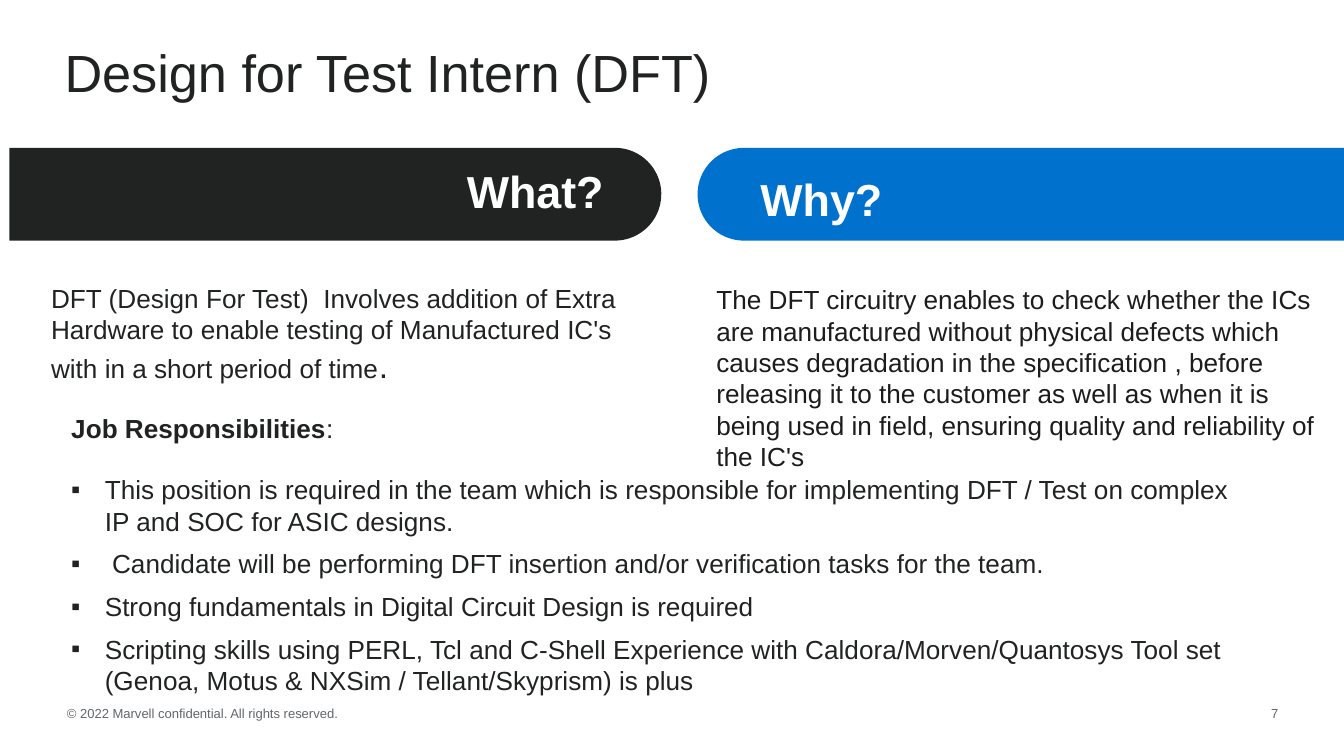
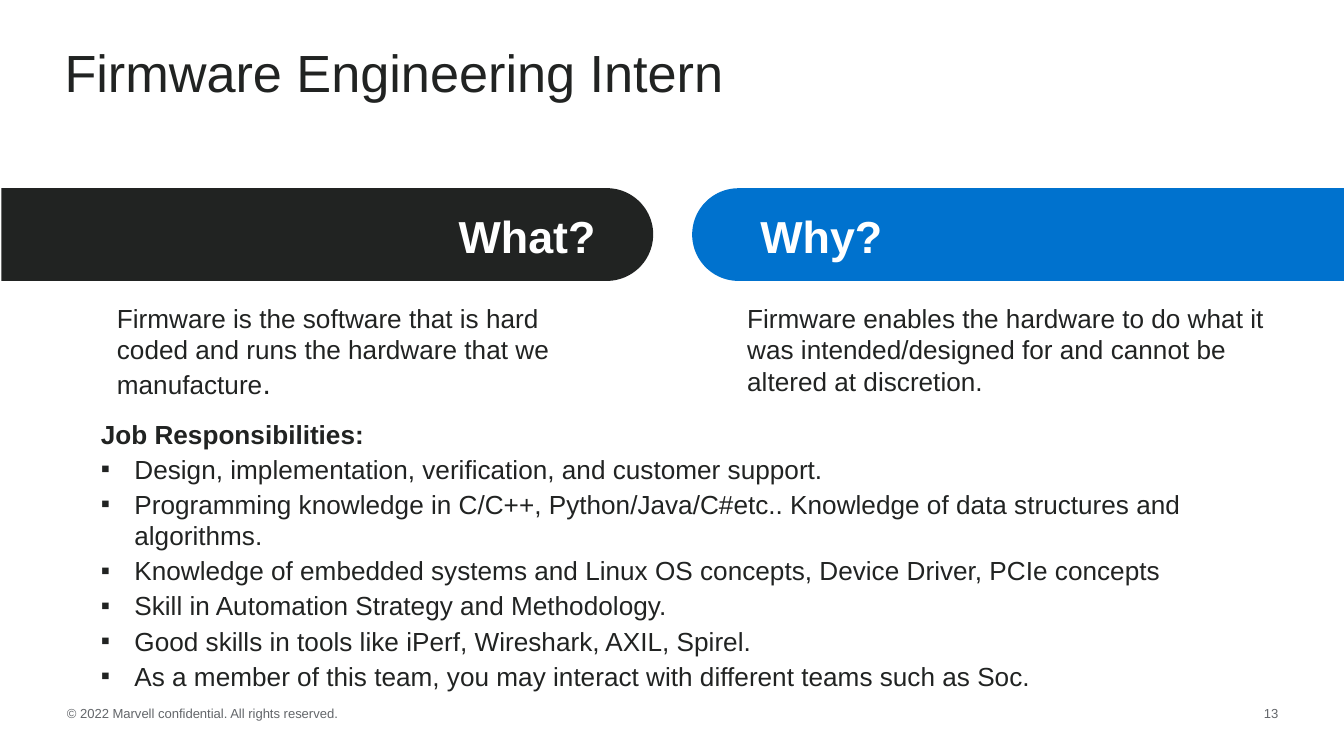
from lxml import etree
from pptx import Presentation
from pptx.dml.color import RGBColor
from pptx.enum.shapes import MSO_SHAPE
from pptx.enum.text import MSO_ANCHOR, MSO_AUTO_SIZE, PP_ALIGN
from pptx.oxml.ns import qn
from pptx.util import Inches, Pt

LEFT, RIGHT = PP_ALIGN.LEFT, PP_ALIGN.RIGHT
TOP, MIDDLE = MSO_ANCHOR.TOP, MSO_ANCHOR.MIDDLE
FIXED, GROW = MSO_AUTO_SIZE.NONE, MSO_AUTO_SIZE.SHAPE_TO_FIT_TEXT
HALF_ROUND = MSO_SHAPE.ROUND_2_SAME_RECTANGLE

INK = RGBColor(0x21, 0x23, 0x22)
SOFT_INK = RGBColor(0x1D, 0x1C, 0x1D)
BLUE = RGBColor(0x00, 0x72, 0xCE)
GREY = RGBColor(0x63, 0x66, 0x6A)
WHITE = RGBColor(0xFF, 0xFF, 0xFF)

FONT = "Arial"
SLIDE_W = 10
SLIDE_H = SLIDE_W * 9 / 16
BAND_W, BAND_H = 4.85, 0.69
LABEL_W, LABEL_INSET, WHY_LABEL_X = 2.4, 0.33, 5.56
TITLE_BOX = (0.38, 0.3, 9.25, 0.9)
COPYRIGHT_BOX = (0.4, 5.2, 2.7, 0.22)
NUMBER_BOX = (9.21, 5.2, 0.4, 0.22)
BODY_SIZE, BULLET_INDENT = 14, 0.25

COPYRIGHT = "© 2022 Marvell confidential. All rights reserved."

INTERNSHIPS = [
    {
        "title": "Design for Test Intern (DFT)",
        "number": "7",
        "band_top": 1.1,
        "what": {
            "band_left": 0.07, "label_top": 1.07, "box": (0.38, 2.1, 4.54, 0.77),
            "runs": [("DFT (Design For Test)  Involves addition of Extra Hardware to enable "
                      "testing of Manufactured IC's with in a short period of time", {}),
                     (".", {"size": Pt(18)})],
        },
        "why": {
            "band_left": 5.19, "label_top": 1.13, "box": (5.33, 2.11, 4.55, 1.41),
            "color": SOFT_INK,
            "runs": [("The DFT circuitry enables to check whether the ICs are manufactured "
                      "without physical defects which causes degradation in the specification , "
                      "before releasing it to the customer as well as when it is being used in "
                      "field, ensuring quality and reliability of the IC's", {})],
        },
        "duties": {
            "box": (0.43, 3.02, 9, 2.07), "heading_gap": 16, "gap": 6,
            "heading": [("Job Responsibilities", {"bold": True}), (":", {})],
            "items": [
                "This position is required in the team which is responsible for implementing "
                "DFT / Test on complex IP and SOC for ASIC designs.",
                " Candidate will be performing DFT insertion and/or verification tasks for the team.",
                "Strong fundamentals in Digital Circuit Design is required",
                "Scripting skills using PERL, Tcl and C-Shell Experience with "
                "Caldora/Morven/Quantosys Tool set "
                "(Genoa, Motus & NXSim / Tellant/Skyprism) is plus",
            ],
        },
    },
    {
        "title": "Firmware Engineering Intern",
        "number": "13",
        "band_top": 1.4,
        "what": {
            "band_left": 0.01, "label_top": 1.41, "box": (0.87, 2.25, 3.66, 0.74),
            "runs": [("Firmware is the software that is hard coded and runs the hardware "
                      "that we manufacture", {}),
                     (".", {"size": Pt(16)})],
        },
        "why": {
            "band_left": 5.15, "label_top": 1.41, "box": (5.56, 2.25, 4.07, 0.71),
            "runs": [("Firmware enables the hardware to do what it was intended/designed for "
                      "and cannot be altered at discretion.", {})],
        },
        "duties": {
            "box": (0.65, 3.06, 9.11, 2.42), "heading_gap": 2, "gap": 2,
            "heading": [("Job Responsibilities:", {"bold": True})],
            "items": [
                "Design, implementation, verification, and customer support.",
                "Programming knowledge in C/C++, Python/Java/C#etc.. Knowledge of data "
                "structures and algorithms.",
                "Knowledge of embedded systems and Linux OS concepts, Device Driver, PCIe concepts",
                "Skill in Automation Strategy and Methodology.",
                "Good skills in tools like iPerf, Wireshark, AXIL, Spirel.",
                "As a member of this team, you may interact with different teams such as Soc.",
            ],
        },
    },
]


def apply(target, values):
    for name, value in values.items():
        setattr(target, name, value)


def place(shape, box):
    apply(shape, dict(zip(("left", "top", "width", "height"), map(Inches, box))))


def write(paragraph, runs, size, color, bold=False, **layout):
    apply(paragraph, {"alignment": LEFT, "space_before": Pt(0), **layout})
    for text, changes in runs:
        run = paragraph.add_run()
        run.text = text
        run.font.color.rgb = color
        apply(run.font, {"name": FONT, "size": Pt(size), "bold": bold, **changes})


def add_text(slide, box, runs, size, color, frame=None, **style):
    text = slide.shapes.add_textbox(*map(Inches, box)).text_frame
    apply(text, {"word_wrap": True, "vertical_anchor": MIDDLE, "auto_size": FIXED,
                 **(frame or {})})
    write(text.paragraphs[0], runs, size, color, **style)


def add_band(slide, left, top, color, rotation):
    shift = (BAND_W - BAND_H) / 2
    band = slide.shapes.add_shape(
        HALF_ROUND, *map(Inches, (left + shift, top - shift, BAND_H, BAND_W)))
    band.adjustments[0] = 0.5
    band.rotation = rotation
    band.shadow.inherit = False
    band.fill.solid()
    band.fill.fore_color.rgb = color
    band.line.fill.background()


def set_bullet(paragraph, character=None):
    properties = paragraph._p.get_or_add_pPr()
    indent = Inches(BULLET_INDENT) if character else 0
    properties.set("marL", str(indent))
    properties.set("indent", str(-indent))
    if character:
        etree.SubElement(properties, qn("a:buFont")).set("typeface", FONT)
        etree.SubElement(properties, qn("a:buChar")).set("char", character)
    else:
        etree.SubElement(properties, qn("a:buNone"))


def add_column(slide, column, band_top, question, color, rotation, label_x, alignment):
    add_band(slide, column["band_left"], band_top, color, rotation)
    add_text(slide, (label_x, column["label_top"], LABEL_W, BAND_H), [(question, {})],
             24, WHITE, bold=True, alignment=alignment)
    margins = dict.fromkeys(("margin_left", "margin_top", "margin_right", "margin_bottom"), 0)
    add_text(slide, column["box"], column["runs"], BODY_SIZE, column.get("color", INK),
             {"vertical_anchor": TOP, "auto_size": GROW, **margins})


def fill_duties(body, duties):
    place(body, duties["box"])
    text = body.text_frame
    apply(text, {"auto_size": FIXED, "vertical_anchor": TOP})
    rows = [(duties["heading"], None, duties["heading_gap"])]
    rows += [([(item, {})], "▪", duties["gap"]) for item in duties["items"]]
    for index, (runs, bullet, gap) in enumerate(rows):
        paragraph = text.add_paragraph() if index else text.paragraphs[0]
        set_bullet(paragraph, bullet)
        write(paragraph, runs, BODY_SIZE, INK, space_after=Pt(gap))


def add_internship(deck, internship):
    slide = deck.slides.add_slide(deck.slide_layouts[1])
    title, body = slide.placeholders
    place(title, TITLE_BOX)
    apply(title.text_frame, {"auto_size": FIXED, "vertical_anchor": TOP})
    write(title.text_frame.paragraphs[0], [(internship["title"], {})], 28, INK, line_spacing=0.9)

    what, why, band_top = internship["what"], internship["why"], internship["band_top"]
    what_label_x = what["band_left"] + BAND_W - LABEL_INSET - LABEL_W
    add_column(slide, why, band_top, "Why?", BLUE, 270, WHY_LABEL_X, LEFT)
    add_column(slide, what, band_top, "What?", INK, 90, what_label_x, RIGHT)
    fill_duties(body, internship["duties"])

    add_text(slide, COPYRIGHT_BOX, [(COPYRIGHT, {})], 7, GREY)
    add_text(slide, NUMBER_BOX, [(internship["number"], {})], 7, GREY, alignment=RIGHT)


def main():
    deck = Presentation()
    apply(deck, {"slide_width": Inches(SLIDE_W), "slide_height": Inches(SLIDE_H)})
    for internship in INTERNSHIPS:
        add_internship(deck, internship)
    deck.save("out.pptx")


if __name__ == "__main__":
    main()
